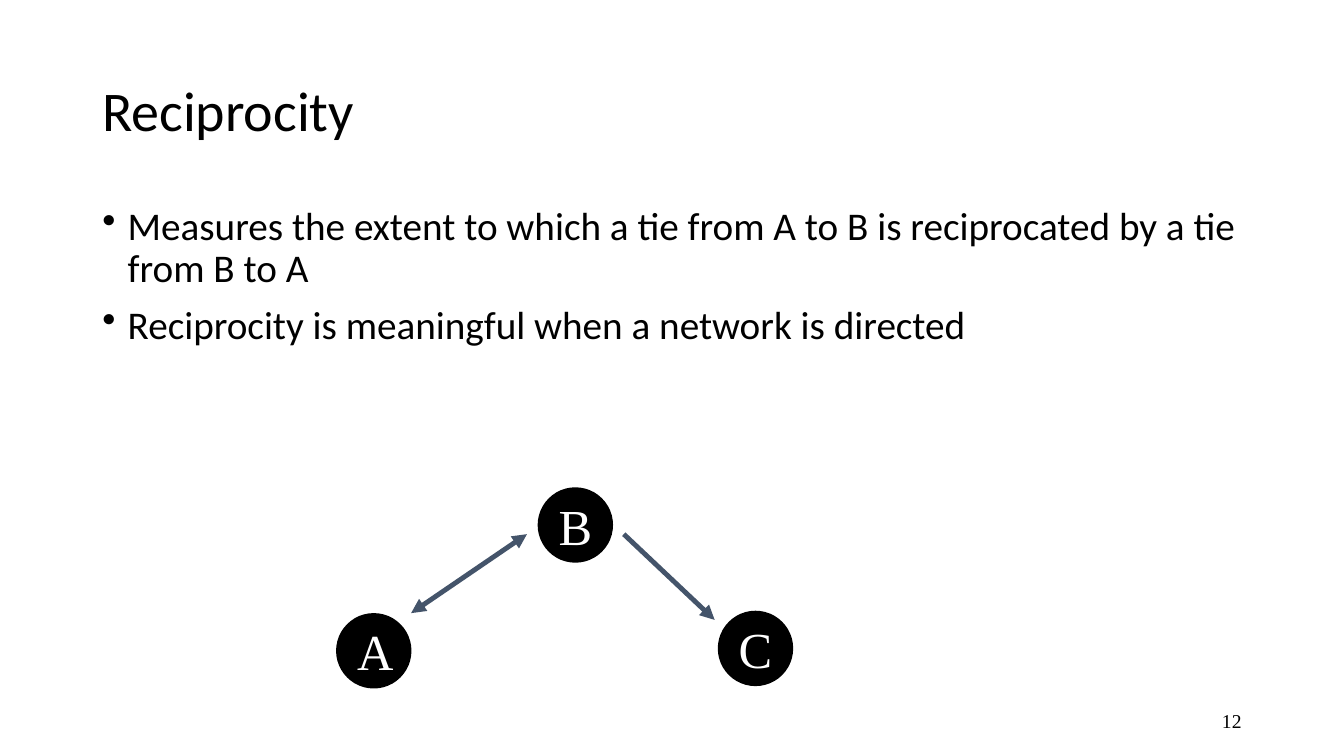
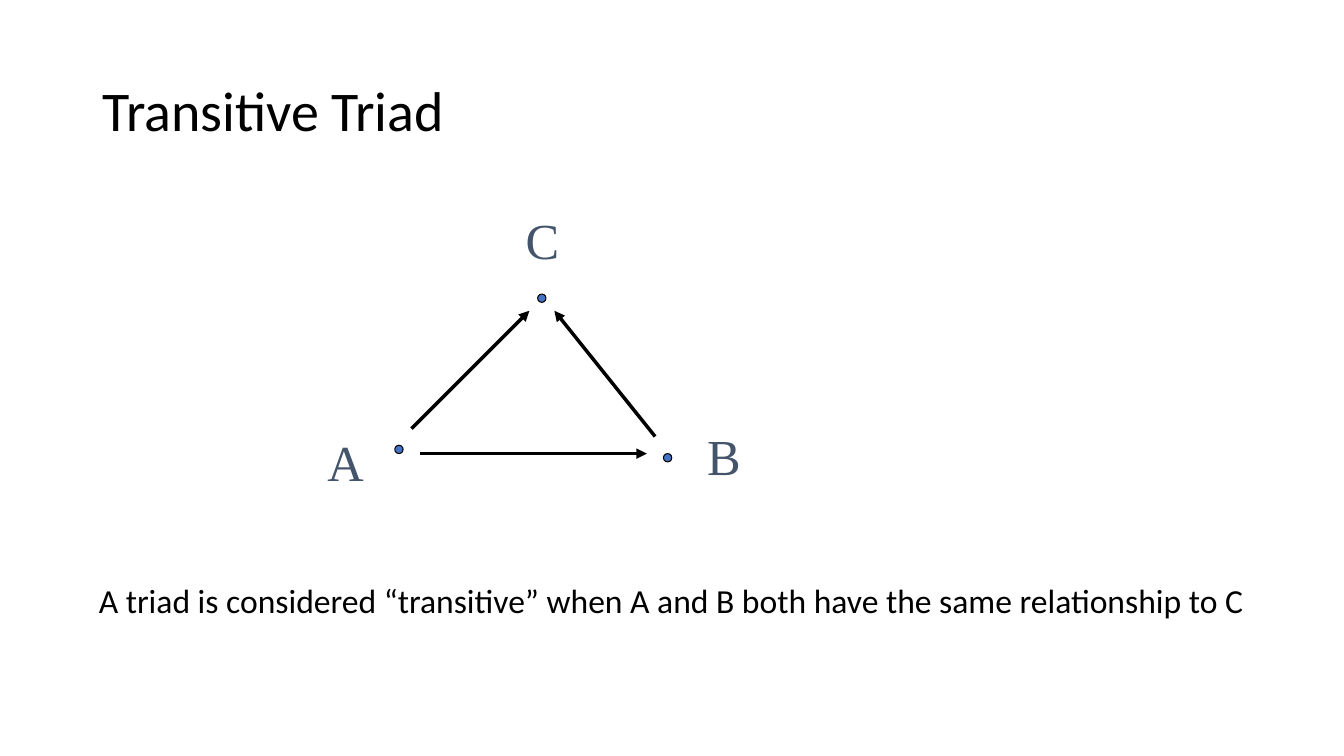
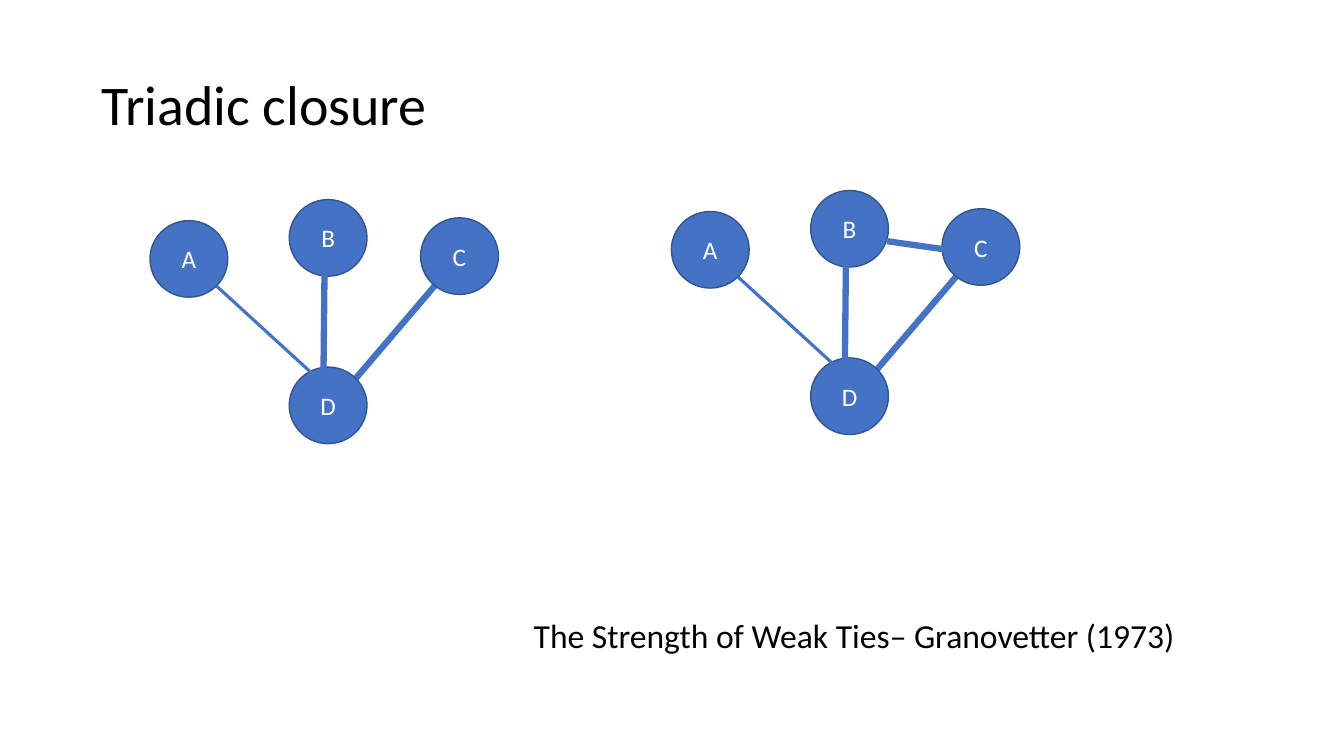
import dataclasses
from typing import Optional

import lxml.etree
import pptx
import pptx.dml.color
import pptx.enum.shapes
import pptx.enum.text
import pptx.oxml.ns
import pptx.util

Cm = pptx.util.Cm
Pt = pptx.util.Pt
RGBColor = pptx.dml.color.RGBColor
Align = pptx.enum.text.PP_ALIGN
Anchor = pptx.enum.text.MSO_ANCHOR

BLACK = RGBColor(0x00, 0x00, 0x00)
WHITE = RGBColor(0xFF, 0xFF, 0xFF)
BLUE = RGBColor(0x44, 0x72, 0xC4)
DARK_BLUE = RGBColor(0x32, 0x54, 0x91)
SLATE = RGBColor(0x44, 0x54, 0x6A)

SANS = "Calibri"
SERIF = "Times New Roman"


@dataclasses.dataclass(frozen=True)
class TextStyle:
    size: float
    font: str = SANS
    color: RGBColor = BLACK
    align: Align = Align.LEFT
    spacing: Optional[float] = None


@dataclasses.dataclass(frozen=True)
class NodeStyle:
    width: float
    height: float
    fill: RGBColor
    outline: Optional[RGBColor] = None
    outline_width: float = 0
    text: Optional[TextStyle] = None


@dataclasses.dataclass(frozen=True)
class Node:
    left: float
    top: float
    label: str = ""


@dataclasses.dataclass(frozen=True)
class Tie:
    """A straight tie between two points, in centimetres."""
    x1: float
    y1: float
    x2: float
    y2: float
    mutual: bool = False


@dataclasses.dataclass(frozen=True)
class TieStyle:
    color: RGBColor
    width: float
    arrow: bool = False


TITLE = TextStyle(40, spacing=0.9)
BODY = TextStyle(28, spacing=0.9)
CAPTION = TextStyle(24)
PAGE_NUMBER = TextStyle(14, SERIF, align=Align.RIGHT)
POINT_LABEL = TextStyle(36, SERIF, SLATE)

ACTOR = NodeStyle(1.9, 1.9, BLACK,
                  text=TextStyle(36, SERIF, WHITE, Align.CENTER))
POINT = NodeStyle(0.21, 0.21, BLUE, BLACK, 0.75)
PERSON = NodeStyle(1.96, 1.93, BLUE, DARK_BLUE, 1,
                   TextStyle(18, SANS, WHITE, Align.CENTER))

SLATE_ARROW = TieStyle(SLATE, 3.5, arrow=True)
BLACK_ARROW = TieStyle(BLACK, 2.5, arrow=True)
STRONG = TieStyle(BLUE, 4.5)
WEAK = TieStyle(BLUE, 2.25)


def add_child(parent, tag: str, **attributes: str) -> None:
    lxml.etree.SubElement(parent, pptx.oxml.ns.qn(tag), attributes)


def style_paragraph(para, style: TextStyle) -> None:
    para.alignment = style.align
    if style.spacing:
        para.line_spacing = style.spacing
    para.font.size = Pt(style.size)
    para.font.name = style.font
    para.font.color.rgb = style.color


def add_text(page, left: float, top: float, width: float, height: float,
             lines: list[str], style: TextStyle, anchor: Anchor = Anchor.TOP,
             bullets: bool = False, wrap: bool = True) -> None:
    box = page.shapes.add_textbox(Cm(left), Cm(top), Cm(width), Cm(height))
    frame = box.text_frame
    frame.word_wrap = wrap
    frame.vertical_anchor = anchor
    for index, line in enumerate(lines):
        para = frame.add_paragraph() if index else frame.paragraphs[0]
        para.text = line
        if index:
            para.space_before = Pt(10)
        if bullets:
            indent = Cm(0.64)
            properties = para._p.get_or_add_pPr()
            properties.set("marL", str(indent))
            properties.set("indent", str(-indent))
            add_child(properties, "a:buChar", char="•")
        style_paragraph(para, style)


def add_node(page, node: Node, style: NodeStyle) -> None:
    circle = page.shapes.add_shape(
        pptx.enum.shapes.MSO_SHAPE.OVAL, Cm(node.left), Cm(node.top),
        Cm(style.width), Cm(style.height))
    circle.shadow.inherit = False
    circle.fill.solid()
    circle.fill.fore_color.rgb = style.fill
    if style.outline is None:
        circle.line.fill.background()
    else:
        circle.line.color.rgb = style.outline
        circle.line.width = Pt(style.outline_width)
    if style.text:
        circle.text_frame.vertical_anchor = Anchor.MIDDLE
        para = circle.text_frame.paragraphs[0]
        para.text = node.label
        style_paragraph(para, style.text)


def add_tie(page, tie: Tie, style: TieStyle) -> None:
    line = page.shapes.add_connector(
        pptx.enum.shapes.MSO_CONNECTOR.STRAIGHT,
        Cm(tie.x1), Cm(tie.y1), Cm(tie.x2), Cm(tie.y2))
    line.line.color.rgb = style.color
    line.line.width = Pt(style.width)
    outline = line.line._get_or_add_ln()
    if tie.mutual:
        add_child(outline, "a:headEnd", type="triangle")
    if style.arrow:
        add_child(outline, "a:tailEnd", type="triangle")
    add_child(line._element.spPr, "a:effectLst")


def add_page(deck, title: str, left: float = 2.33, top: float = 1.01):
    page = deck.slides.add_slide(deck.slide_layouts[6])
    add_text(page, left, top, 29.21, 3.68, [title], TITLE, Anchor.MIDDLE)
    return page


def add_caption(page, left: float, top: float, width: float, text: str) -> None:
    add_text(page, left, top, width, 1.27, [text], CAPTION, wrap=False)


def build_reciprocity(deck) -> None:
    page = add_page(deck, "Reciprocity")
    add_text(page, 2.33, 5.08, 29.21, 12.09, [
        "Measures the extent to which a tie from A to B is reciprocated "
        "by a tie from B to A",
        "Reciprocity is meaningful when a network is directed",
    ], BODY, bullets=True)
    add_text(page, 23.92, 17.66, 7.62, 1.01, ["12"], PAGE_NUMBER, Anchor.MIDDLE)
    for node in (Node(8.47, 15.45, "A"), Node(13.55, 12.28, "B"),
                 Node(18.09, 15.39, "C")):
        add_node(page, node, ACTOR)
    for tie in (Tie(13.28, 13.46, 10.36, 15.45, mutual=True),
                Tie(15.72, 13.46, 18.01, 15.62)):
        add_tie(page, tie, SLATE_ARROW)


def build_transitive_triad(deck) -> None:
    page = add_page(deck, "Transitive Triad")
    for point in (Node(16.72, 11.43), Node(9.95, 11.22), Node(13.55, 7.41)):
        add_node(page, point, POINT)
    for tie in (Tie(10.37, 10.8, 13.34, 7.83), Tie(10.58, 11.43, 16.3, 11.43),
                Tie(16.51, 11, 13.97, 7.83)):
        add_tie(page, tie, BLACK_ARROW)
    for label, left, top, width in (("A", 8, 10.73, 1.42),
                                    ("B", 17.57, 10.59, 1.35),
                                    ("C", 13, 5.14, 1.02)):
        add_text(page, left, top, width, 1.79, [label], POINT_LABEL)
    add_caption(page, 2.24, 14.5, 29.64,
                "A triad is considered “transitive” when A and B both have "
                "the same relationship to C")


def add_friend_group(page, dx: float, dy: float, closed: bool) -> None:
    """Draw A, B and C tied to D; a closed group also ties B to C."""

    def tie(x1: float, y1: float, x2: float, y2: float, style: TieStyle) -> None:
        add_tie(page, Tie(x1 + dx, y1 + dy, x2 + dx, y2 + dy), style)

    tie(11.4, 6.68, 8.97, 9.53, STRONG)
    for label, left, top in (("A", 3.78, 5.56), ("C", 10.6, 5.49),
                             ("D", 7.29, 9.25), ("B", 7.29, 5.03)):
        add_node(page, Node(left + dx, top + dy, label), PERSON)
    tie(8.18, 6.68, 8.15, 9.58, STRONG)
    tie(5.46, 7.21, 8.99, 10.44, WEAK)
    if closed:
        tie(9.22, 6.31, 10.85, 6.54, STRONG)


def build_triadic_closure(deck) -> None:
    page = add_page(deck, "Triadic closure", 2.31, 0.86)
    add_friend_group(page, 0, 0, closed=False)
    add_friend_group(page, 13.14, -0.23, closed=True)
    add_caption(page, 13.2, 15.37, 16.84,
                "The Strength of Weak Ties– Granovetter (1973)")


def main() -> None:
    deck = pptx.Presentation()
    deck.slide_width = Cm(33.87)
    deck.slide_height = Cm(19.05)
    build_reciprocity(deck)
    build_transitive_triad(deck)
    build_triadic_closure(deck)
    deck.save("out.pptx")


if __name__ == "__main__":
    main()
